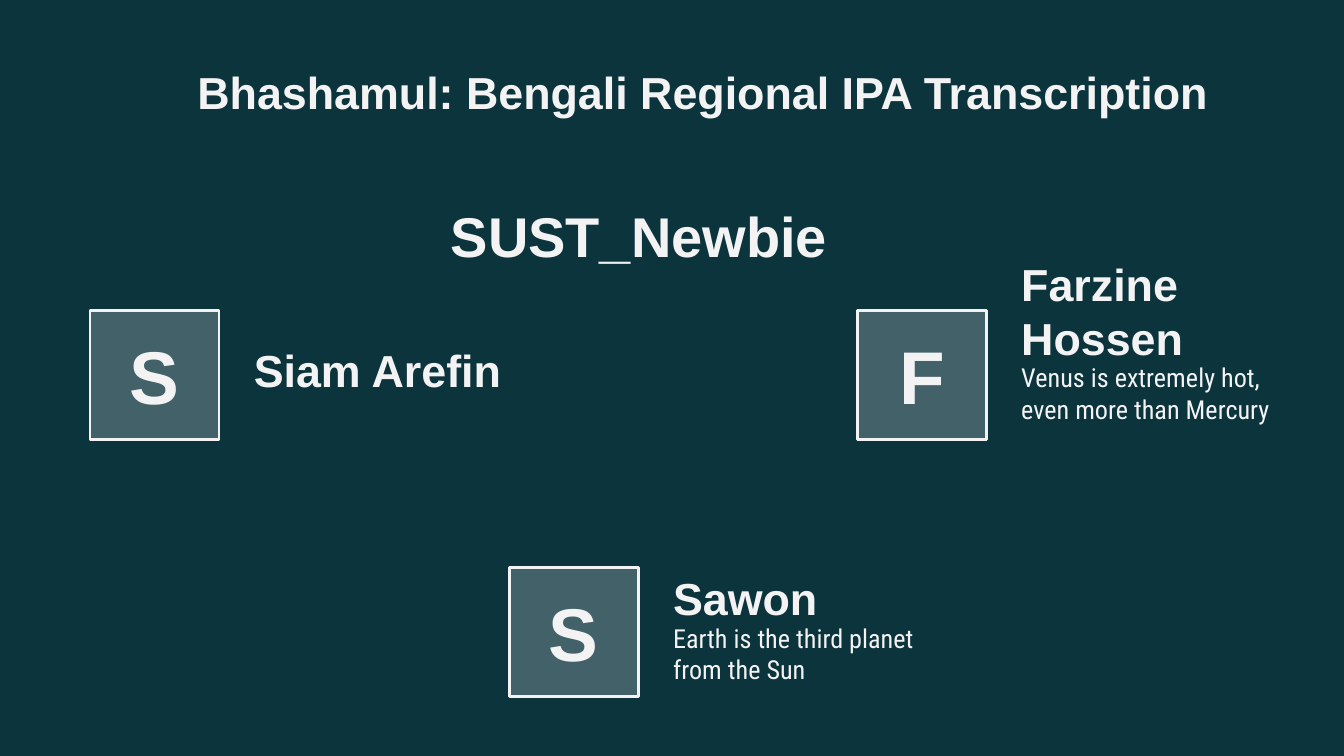
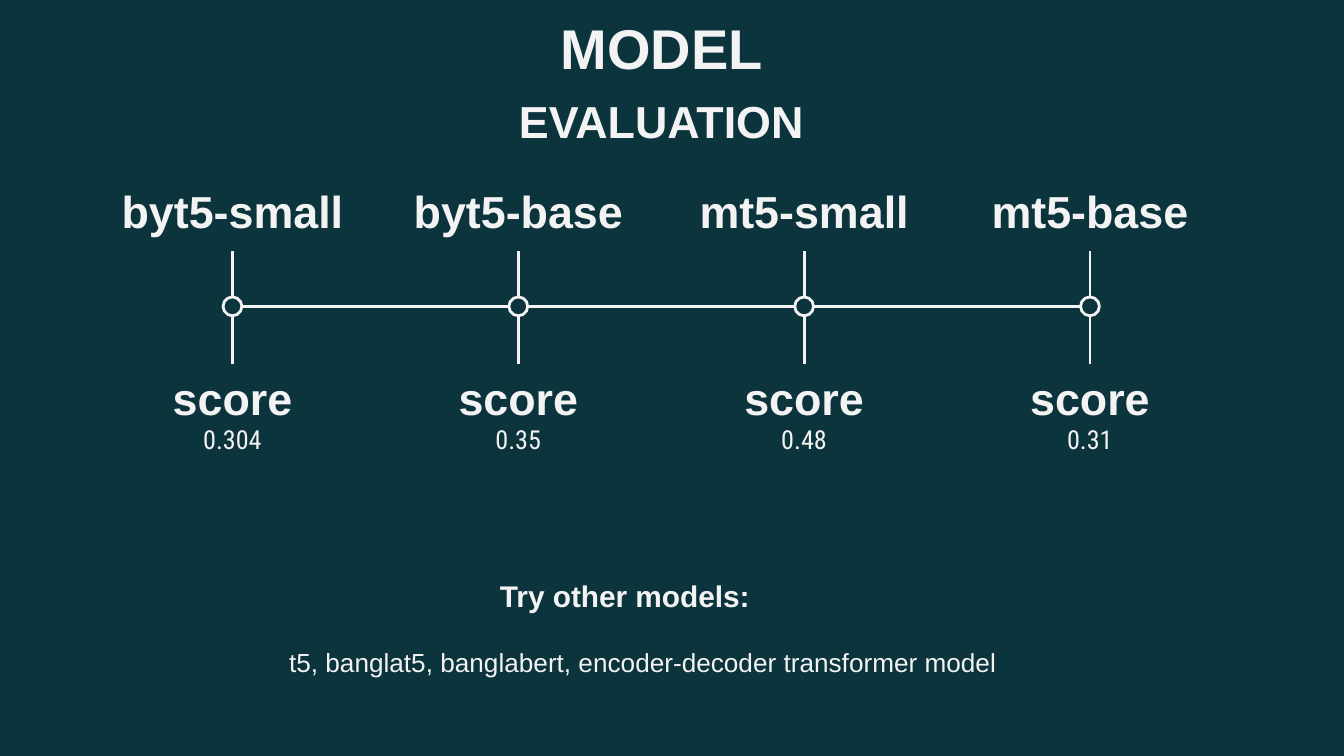
"""Build the team slide and the model evaluation slide."""
from dataclasses import dataclass

from pptx import Presentation
from pptx.dml.color import RGBColor
from pptx.enum import shapes, text
from pptx.oxml import ns, xmlchemy
from pptx.util import Inches, Pt


@dataclass(frozen=True)
class Theme:
    back: RGBColor = RGBColor(0x0C, 0x34, 0x3D)
    light: RGBColor = RGBColor(0xF3, 0xF3, 0xF3)
    head_font: str = "Arial"
    body_font: str = "Roboto Condensed"
    initial: int = 40
    title: int = 30
    heading: int = 24
    prompt: int = 16
    body: int = 14
    line: float = 1.5
    tile_alpha: int = 24000


THEME = Theme()
TOP, MIDDLE, BOTTOM = (
    text.MSO_ANCHOR.TOP, text.MSO_ANCHOR.MIDDLE, text.MSO_ANCHOR.BOTTOM)
LEFT, CENTER = text.PP_ALIGN.LEFT, text.PP_ALIGN.CENTER


def write(frame, words, size=THEME.heading, font=THEME.head_font, bold=True,
          align=CENTER, anchor=TOP, inset=0.1, grow=False):
    frame.word_wrap = True
    fit = text.MSO_AUTO_SIZE
    frame.auto_size = fit.SHAPE_TO_FIT_TEXT if grow else fit.NONE
    frame.vertical_anchor = anchor
    frame.margin_left = frame.margin_right = Inches(0.1)
    frame.margin_top = frame.margin_bottom = Inches(inset)
    para = frame.paragraphs[0]
    para.alignment = align
    span = para.add_run()
    span.text = words
    span.font.name = font
    span.font.size = Pt(size)
    span.font.bold = bold
    span.font.color.rgb = THEME.light


class Pages:
    def __init__(self, theme):
        self.theme = theme
        self.deck = Presentation()
        self.deck.slide_width = Inches(10)
        self.deck.slide_height = Inches(10 * 9 / 16)
        fill = self.deck.slide_master.background.fill
        fill.solid()
        fill.fore_color.rgb = theme.back
        self.page = None

    def start(self, title, left, top):
        self.page = self.deck.slides.add_slide(self.deck.slide_layouts[5])
        box = self.page.shapes.title
        box.left, box.top = Inches(left), Inches(top)
        box.width, box.height = Inches(8.43), Inches(0.63)
        write(box.text_frame, title, size=self.theme.title)

    def label(self, words, left, top, width, height=0.5, **style):
        box = self.page.shapes.add_textbox(
            Inches(left), Inches(top), Inches(width), Inches(height))
        write(box.text_frame, words, **style)

    def detail(self, words, left, top, width, **style):
        self.label(words, left, top, width, 0.6, size=self.theme.body,
                   font=self.theme.body_font, bold=False, **style)

    def outline(self, kind, left, top, side):
        shape = self.page.shapes.add_shape(
            kind, Inches(left), Inches(top), Inches(side), Inches(side))
        shape.shadow.inherit = False
        shape.fill.background()
        shape.line.color.rgb = self.theme.light
        shape.line.width = Pt(self.theme.line)
        return shape

    def tile(self, initial, left, top, side):
        shape = self.outline(
            shapes.MSO_SHAPE.ROUNDED_RECTANGLE, left, top, side)
        shape.adjustments[0] = 0
        shape.fill.solid()
        shape.fill.fore_color.rgb = self.theme.light
        tint = next(shape.element.spPr.iter(ns.qn("a:srgbClr")))
        alpha = xmlchemy.OxmlElement("a:alpha")
        alpha.set("val", str(self.theme.tile_alpha))
        tint.append(alpha)
        write(shape.text_frame, initial, size=self.theme.initial,
              anchor=MIDDLE)

    def line(self, x1, y1, x2, y2):
        link = self.page.shapes.add_connector(
            shapes.MSO_CONNECTOR.STRAIGHT,
            Inches(x1), Inches(y1), Inches(x2), Inches(y2))
        link.line.color.rgb = self.theme.light
        link.line.width = Pt(self.theme.line)
        link.element.spPr.append(xmlchemy.OxmlElement("a:effectLst"))


def team_page(pages):
    pages.start("SUST_Newbie", 0.54, 1.4)
    members = [
        ("Siam Arefin", "", 0.67, 2.31, 2.55),
        ("Farzine Hossen", "Venus is extremely hot, even more than Mercury",
         6.38, 2.31, 2.31),
        ("Sawon", "Earth is the third planet from the Sun",
         3.79, 4.22, 4.25),
    ]
    for name, fact, left, top, name_top in members:
        pages.tile(name[0], left, top, 0.96)
        pages.label(name, left + 1.12, name_top, 2.36,
                    align=LEFT, anchor=BOTTOM)
        if fact:
            pages.detail(fact, left + 1.12, name_top + 0.28, 2.36, align=LEFT)
    pages.label("Bhashamul: Bengali Regional IPA Transcription",
                1.37, 0.43, 8.33, align=LEFT, inset=0.05, grow=True)


def evaluation_page(pages):
    pages.start("MODEL", 0.71, 0)
    pages.label("EVALUATION", 3.64, 0.7, 2.56, anchor=BOTTOM)
    scores = [("byt5-small", "0.304"), ("byt5-base", "0.35"),
              ("mt5-small", "0.48"), ("mt5-base", "0.31")]
    first, last, axis, radius, width = 1.73, 8.11, 2.28, 0.07, 2.06
    step = (last - first) / (len(scores) - 1)
    for index, (model, score) in enumerate(scores):
        center = first + index * step
        left = center - width / 2
        pages.outline(shapes.MSO_SHAPE.OVAL,
                      center - radius, axis - radius, 2 * radius)
        if index:
            pages.line(center - step + radius, axis, center - radius, axis)
        pages.line(center, axis - radius, center, 1.87)
        pages.line(center, axis + radius, center, 2.71)
        pages.label(model, left, 1.37, width, anchor=BOTTOM)
        pages.label("score", left, 2.71, width, anchor=MIDDLE)
        pages.detail(score, left, 3.05, width)
    pages.label("Try other models:", 1.13, 4.25, 7.04, 0.37,
                size=THEME.prompt, inset=0.05, grow=True)
    pages.label("t5, banglat5, banglabert, encoder-decoder transformer model",
                1.3, 4.76, 6.97, 0.34, size=THEME.body, bold=False,
                inset=0.05, grow=True)


def main():
    pages = Pages(THEME)
    team_page(pages)
    evaluation_page(pages)
    pages.deck.save("out.pptx")


if __name__ == "__main__":
    main()
